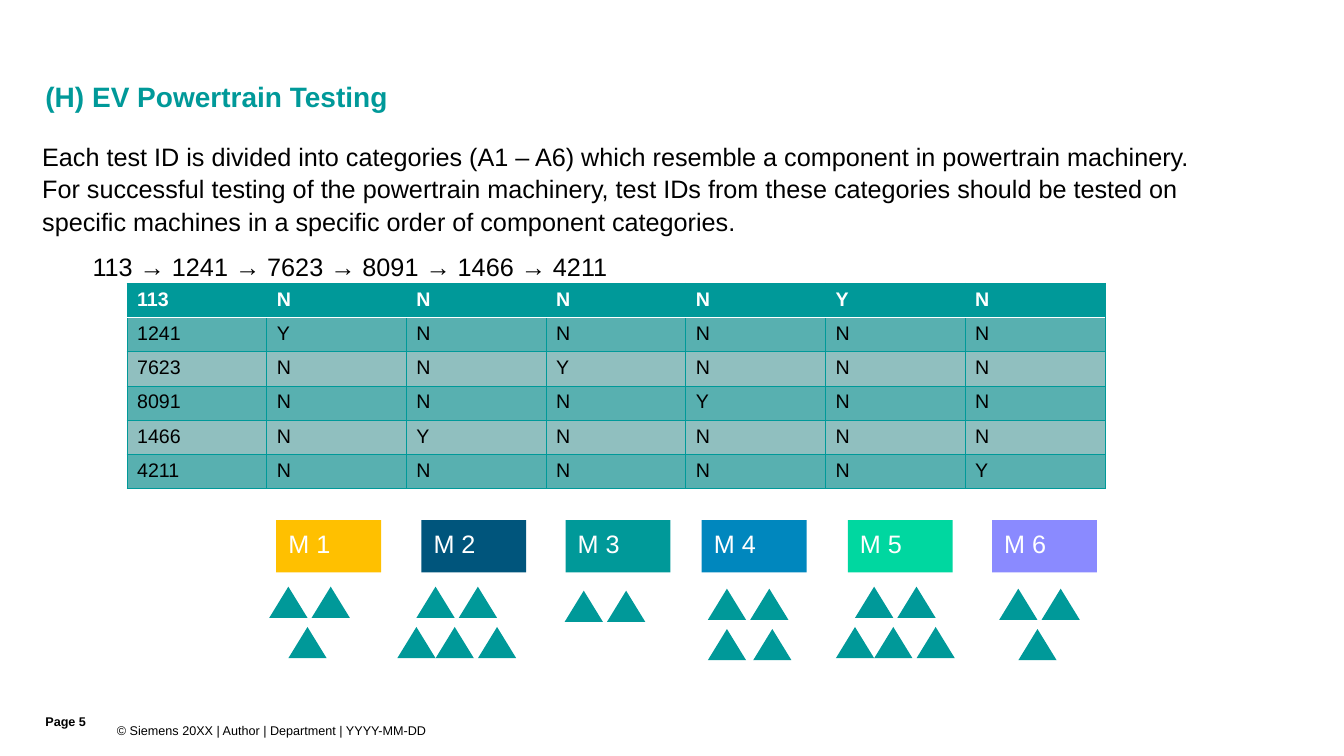
"""Builds the EV powertrain testing slide: routing table, machines and queued tests."""
from lxml import etree
from pptx import Presentation
from pptx.dml.color import RGBColor
from pptx.enum import shapes, text
from pptx.oxml import ns
from pptx.util import Inches, Pt

TEAL = RGBColor(0x00, 0x99, 0x99)
BAND_DARK = RGBColor(0x58, 0xB0, 0xB0)
BAND_LIGHT = RGBColor(0x90, 0xBF, 0xBF)
AMBER = RGBColor(0xFF, 0xC0, 0x00)
NAVY = RGBColor(0x00, 0x55, 0x7C)
BLUE = RGBColor(0x00, 0x87, 0xBE)
GREEN = RGBColor(0x00, 0xD7, 0xA0)
VIOLET = RGBColor(0x8A, 0x8A, 0xFF)
BLACK = RGBColor(0x00, 0x00, 0x00)
WHITE = RGBColor(0xFF, 0xFF, 0xFF)

INTRO = (
    "Each test ID is divided into categories (A1 – A6) which resemble a component in "
    "powertrain machinery. For successful testing of the powertrain machinery, test IDs "
    "from these categories should be tested on specific machines in a specific order of "
    "component categories."
)
MACHINE_FOR_TEST = {"113": 5, "1241": 1, "7623": 3, "8091": 4, "1466": 2, "4211": 6}
MACHINES = [
    (2.74, AMBER, 2.67, 5.82, [0.19]),
    (4.18, NAVY, 4.13, 5.82, [-0.19, 0.19, 0.61]),
    (5.61, TEAL, 5.6, 5.86, []),
    (6.96, BLUE, 7.02, 5.84, [0, 0.45]),
    (8.41, GREEN, 8.48, 5.82, [-0.19, 0.19, 0.61]),
    (9.84, VIOLET, 9.91, 5.84, [0.19]),
]
FOOTER_INSETS = (0, 0, 0, 0.07)


def apply(target, formats):
    """Set every attribute named in formats on target."""
    for name, value in formats.items():
        setattr(target, name, value)


def style_font(font, size, color, bold=False):
    """Give a font the slide's typeface, a size and a colour."""
    apply(font, {"name": "Arial", "size": Pt(size), "bold": bold})
    font.color.rgb = color


def set_insets(frame, insets):
    """Set left, top, right and bottom insets of a text frame in inches."""
    sides = ("margin_left", "margin_top", "margin_right", "margin_bottom")
    apply(frame, dict(zip(sides, map(Inches, insets))))


def add_label(slide, box, wording, size, color, bold, anchor, insets):
    """Add a one-paragraph text box and return its paragraph."""
    frame = slide.shapes.add_textbox(*map(Inches, box)).text_frame
    apply(frame, {"word_wrap": True, "vertical_anchor": anchor})
    set_insets(frame, insets)
    line = frame.paragraphs[0]
    line.text = wording
    style_font(line.font, size, color, bold)
    return line


def add_intro(slide):
    """Add the explanation and the required test order below it."""
    frame = slide.shapes.add_textbox(*map(Inches, (0.32, 1.33, 11.99, 1.95))).text_frame
    frame.word_wrap = True
    explanation, order = frame.paragraphs[0], frame.add_paragraph()
    explanation.text = INTRO
    order.text = "\t" + " → ".join(MACHINE_FOR_TEST)
    apply(explanation, {"line_spacing": 1.07, "space_after": Pt(3)})
    apply(order, {"space_before": Pt(7.9), "space_after": Pt(7.9)})
    for paragraph in frame.paragraphs:
        style_font(paragraph.font, 18, BLACK)


def add_filled(slide, preset, box, color):
    """Add a preset shape with a plain fill and no outline."""
    shape = slide.shapes.add_shape(preset, *map(Inches, box))
    shape.shadow.inherit = False
    shape.fill.solid()
    shape.fill.fore_color.rgb = color
    shape.line.fill.background()
    return shape


def add_machine(slide, number, left, color):
    """Add a machine block with its label."""
    block = add_filled(slide, shapes.MSO_SHAPE.RECTANGLE, (left, 5.16, 1.04, 0.52), color)
    frame = block.text_frame
    frame.vertical_anchor = text.MSO_ANCHOR.TOP
    set_insets(frame, (0.12, 0.08, 0.12, 0.08))
    label = frame.paragraphs[0]
    label.text = f"M {number}"
    label.alignment = text.PP_ALIGN.LEFT
    style_font(label.font, 18, WHITE)


def add_queue(slide, left, top, lower_offsets):
    """Add a pair of test triangles with the second row below it."""
    spots = [(0, 0), (0.42, 0)] + [(offset, 0.4) for offset in lower_offsets]
    for across, down in spots:
        box = (left + across, top + down, 0.38, 0.31)
        add_filled(slide, shapes.MSO_SHAPE.ISOSCELES_TRIANGLE, box, TEAL)


def add_border(cell, side, color, width):
    """Draw one side of a cell's border."""
    properties = cell._tc.get_or_add_tcPr()
    line = etree.SubElement(properties, ns.qn(f"a:ln{side}"), w=str(Pt(width)))
    fill = etree.SubElement(line, ns.qn("a:solidFill"))
    etree.SubElement(fill, ns.qn("a:srgbClr"), val=str(color))


def style_cell(cell, row):
    """Format a cell according to its row."""
    header = row == 0
    white_side = {0: "B", 1: "T"}.get(row)
    for side in "LRTB":
        color, width = (WHITE, 1) if side == white_side else (TEAL, 0.5)
        add_border(cell, side, color, width)
    cell.fill.solid()
    band = BAND_DARK if row % 2 else BAND_LIGHT
    cell.fill.fore_color.rgb = TEAL if header else band
    style_font(cell.text_frame.paragraphs[0].font, 14, WHITE if header else BLACK, header)


def add_routing_table(slide):
    """Add the table that marks the machine allowed for each test."""
    rows, columns = len(MACHINE_FOR_TEST), len(MACHINES) + 1
    box = map(Inches, (1.26, 2.81, 9.7, 2.04))
    table = slide.shapes.add_table(rows, columns, *box).table
    for row, (test, machine) in enumerate(MACHINE_FOR_TEST.items()):
        for column in range(columns):
            cell = table.cell(row, column)
            mark = "Y" if column == machine else "N"
            cell.text = mark if column else test
            style_cell(cell, row)


def main():
    """Build and save the slide."""
    deck = Presentation()
    apply(deck, {"slide_width": Inches(13.33), "slide_height": Inches(7.5)})
    slide = deck.slides.add_slide(deck.slide_layouts[6])
    anchor = text.MSO_ANCHOR
    title = add_label(slide, (0.45, 0.52, 10.79, 0.63), "(H) EV Powertrain Testing",
                      20, TEAL, True, anchor.BOTTOM, (0, 0, 0.35, 0.02))
    title.line_spacing = 0.9
    add_label(slide, (1.16, 6.98, 10.08, 0.6),
              "© Siemens 20XX | Author | Department | YYYY-MM-DD",
              9, BLACK, False, anchor.MIDDLE, FOOTER_INSETS)
    add_label(slide, (0.45, 6.89, 0.71, 0.6), "Page 5",
              9, BLACK, True, anchor.MIDDLE, FOOTER_INSETS)
    for number, (left, color, *queue) in enumerate(MACHINES, 1):
        add_machine(slide, number, left, color)
        add_queue(slide, *queue)
    add_intro(slide)
    add_routing_table(slide)
    deck.save("out.pptx")


if __name__ == "__main__":
    main()
